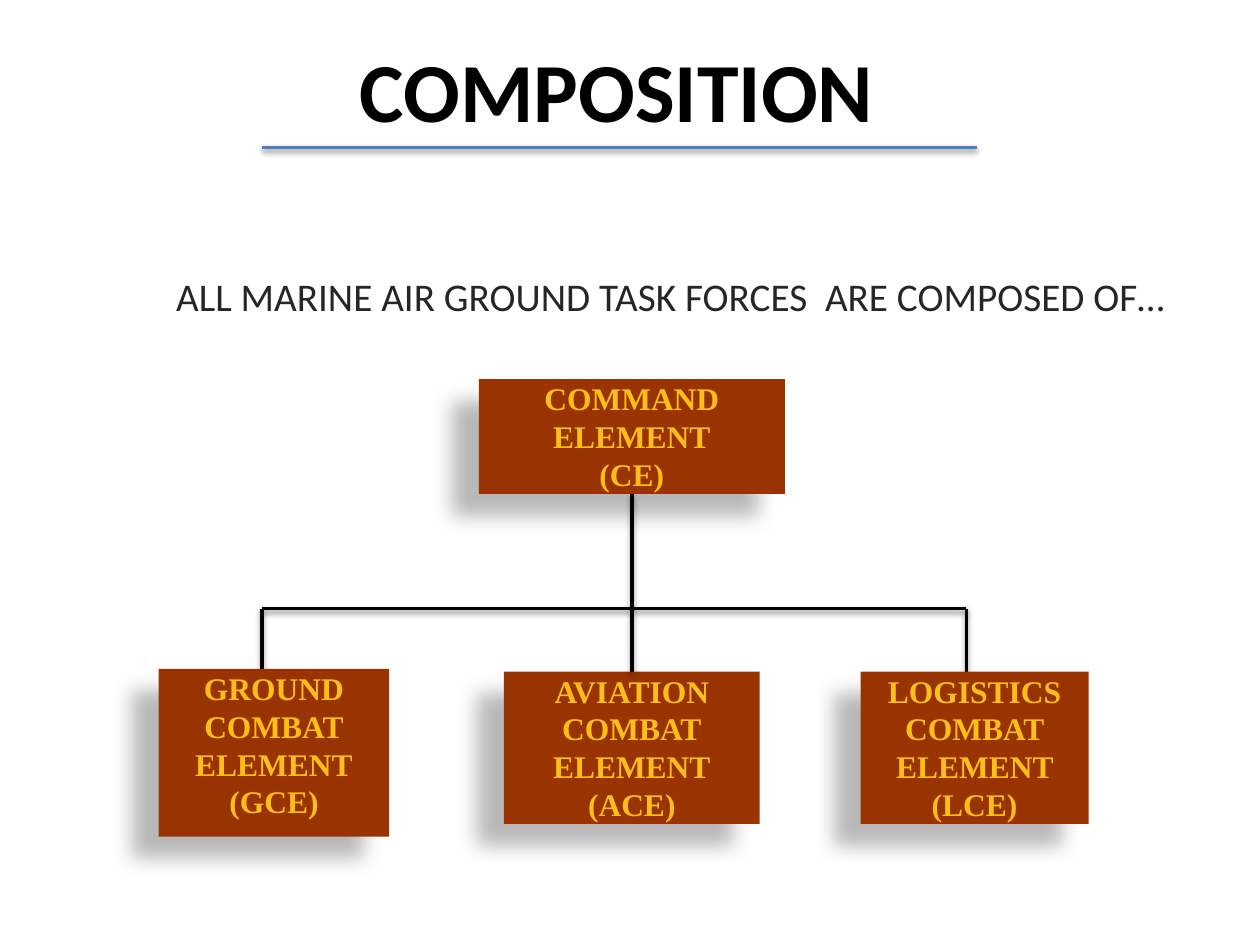
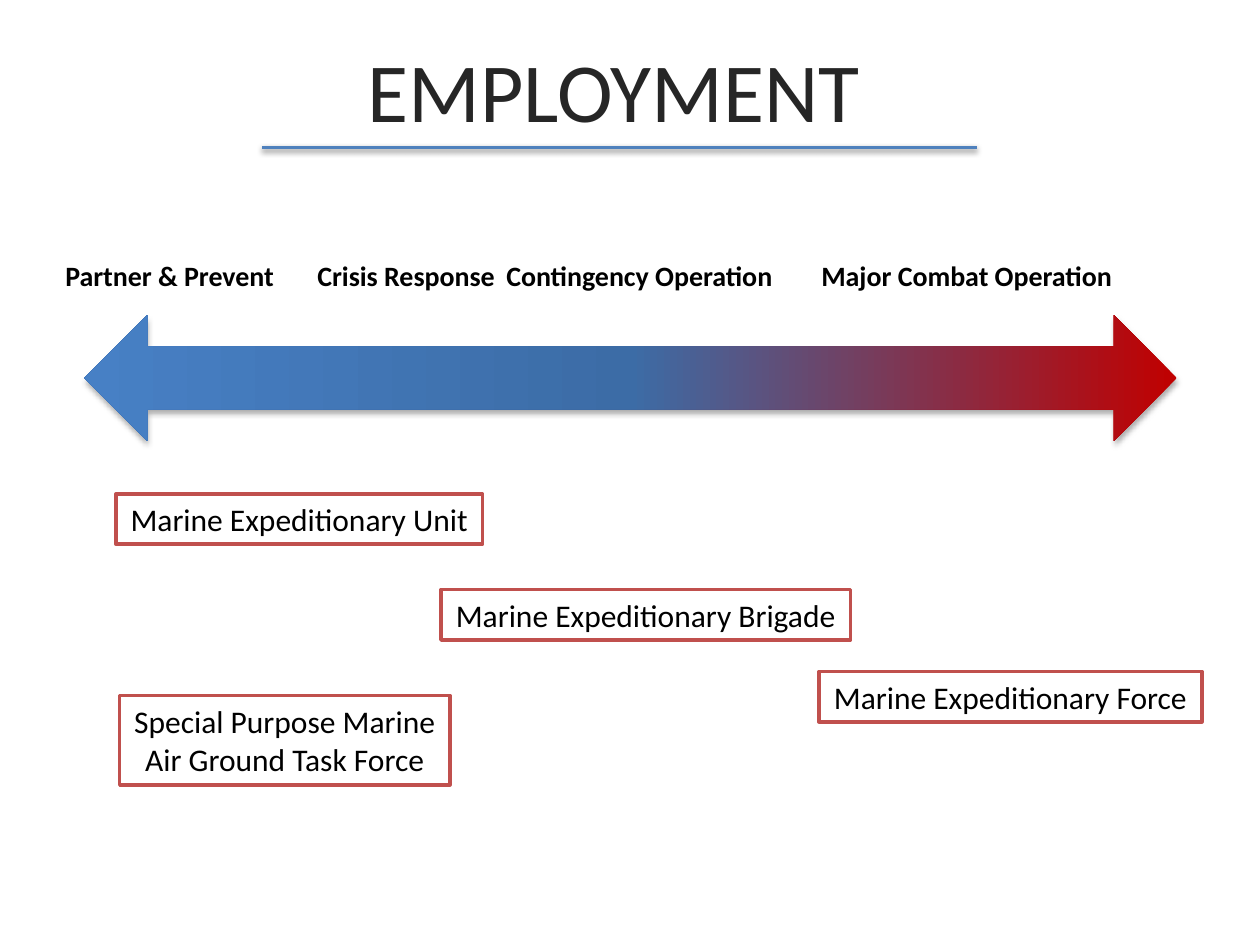
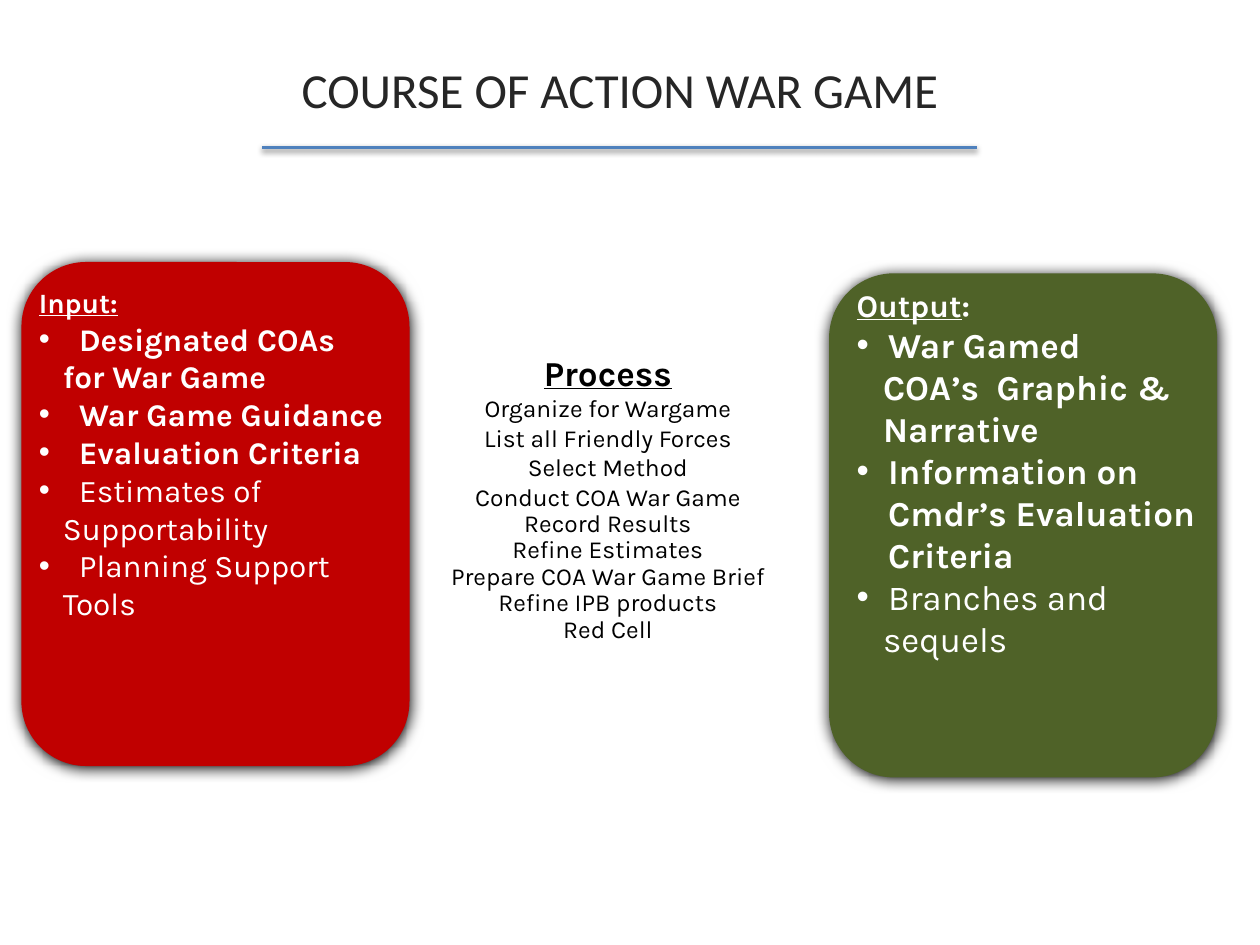
import pptx
import pptx.dml.color
import pptx.enum.shapes
import pptx.enum.text
import pptx.oxml.ns
from lxml import etree
from pptx.util import Inches, Pt

SHAPE = pptx.enum.shapes.MSO_SHAPE
ANCHOR = pptx.enum.text.MSO_ANCHOR
ALIGN = pptx.enum.text.PP_ALIGN
qn = pptx.oxml.ns.qn

BLACK, WHITE, INK = "000000", "FFFFFF", "262626"
BLUE, RED, OLIVE = "4F81BD", "C00000", "4F6228"
RUST, GOLD, BRICK = "993300", "FFBF18", "C0504D"

# Shadows: opacity %, blur pt, distance pt, direction in degrees
LINE_SHADOW = (38, 3.1, 1.6, 90)
ARROW_SHADOW = (32, 3.5, 2.2, 90)
ELEMENT_SHADOW = (28, 11.8, 19.7, 141)
PANEL_SHADOW = (100, 8.5, 1, 90)


def color(value):
    return pptx.dml.color.RGBColor.from_string(value)


def add_xml(parent, tag, **attributes):
    return etree.SubElement(parent, qn(tag), {key: str(value) for key, value in attributes.items()})


def set_shadow(item, shadow=None):
    """Write the effect list; call it after fill and line are set."""
    effects = add_xml(item._element.spPr, "a:effectLst")
    if shadow:
        opacity, blur, distance, angle = shadow
        outer = add_xml(effects, "a:outerShdw", blurRad=int(Pt(blur)), dist=int(Pt(distance)),
                        dir=angle * 60000, algn="ctr", rotWithShape=0)
        tint = add_xml(outer, "a:srgbClr", val=BLACK)
        add_xml(tint, "a:alpha", val=opacity * 1000)


def add_block(page, kind, box, fill, line=None, shadow=None):
    block = page.shapes.add_shape(kind, *map(Inches, box))
    block.fill.solid()
    block.fill.fore_color.rgb = color(fill)
    if line:
        block.line.color.rgb = color(line)
        block.line.width = Pt(2)
    else:
        block.line.fill.background()
    set_shadow(block, shadow)
    return block


def add_line(page, start, end, line=BLACK):
    connector = page.shapes.add_connector(pptx.enum.shapes.MSO_CONNECTOR.STRAIGHT,
                                          *map(Inches, start + end))
    connector.line.color.rgb = color(line)
    connector.line.width = Pt(2)
    set_shadow(connector, LINE_SHADOW)
    return connector


def add_span(para, text, font):
    span = para.add_run()
    span.text = text
    for name, value in font.items():
        if name == "color":
            span.font.color.rgb = color(value)
        else:
            setattr(span.font, name, Pt(value) if name == "size" else value)


def set_frame(item, anchor=ANCHOR.TOP, wrap=True, inset=None):
    frame = item.text_frame
    frame.word_wrap = wrap
    frame.vertical_anchor = anchor
    if inset is not None:
        for side in ("left", "top", "right", "bottom"):
            setattr(frame, "margin_" + side, Inches(inset))
    return frame


def add_para(frame, spans, align=ALIGN.LEFT, left=0, bullet=False, tabs=(), spacing=None):
    """Add a paragraph of (text, font) spans, using the empty first one if there is one."""
    para = frame.paragraphs[0]
    if para.runs:
        para = frame.add_paragraph()
    para.alignment = align
    if spacing:
        para.line_spacing = spacing
    properties = para._p.get_or_add_pPr()
    properties.set("marL", str(Inches(left)))
    properties.set("indent", str(-Inches(left) if bullet else 0))
    if bullet:
        add_xml(properties, "a:buFont", typeface="Arial")
        add_xml(properties, "a:buChar", char="•")
    else:
        add_xml(properties, "a:buNone")
    if tabs:
        stops = add_xml(properties, "a:tabLst")
        for position in tabs:
            add_xml(stops, "a:tab", pos=Inches(position), algn="l")
    for text, font in spans:
        add_span(para, text, font)


def add_text(page, box, **frame_format):
    return set_frame(page.shapes.add_textbox(*map(Inches, box)), **frame_format)


def add_title(page, text, left=0.42, width=9, **font):
    frame = add_text(page, (left, 0.08, width, 1.25), anchor=ANCHOR.MIDDLE)
    style = {"name": "Calibri", "size": 48, "color": INK, **font}
    add_para(frame, [(text, style)], ALIGN.CENTER)
    add_line(page, (2.08, 1.17), (7.75, 1.17), BLUE)


def add_element(page, box, lines):
    element = add_block(page, SHAPE.RECTANGLE, box, RUST, shadow=ELEMENT_SHADOW)
    frame = set_frame(element, inset=0)
    font = {"name": "Times New Roman", "size": 18, "color": GOLD, "bold": True}
    for line in lines:
        add_para(frame, [(line, font)], ALIGN.CENTER)
    return element


def composition_slide(page):
    add_title(page, "COMPOSITION", left=1.25, width=7.29, color=BLACK, bold=True)
    lead = add_text(page, (0.92, 2.11, 8.5, 0.64))
    add_para(lead, [("ALL MARINE AIR GROUND TASK FORCES  ARE COMPOSED OF…",
                     {"name": "Calibri", "size": 22.4, "color": INK})], left=0.38)

    bar_y, bar_left, bar_right = 4.83, 2.08, 7.67
    add_line(page, (bar_left, bar_y), (bar_right, bar_y))
    for x in (bar_left, bar_right):
        add_line(page, (x, bar_y), (x, 5.33))

    command = add_element(page, (3.8, 3.01, 2.43, 0.91), ["COMMAND", "ELEMENT", "(CE)"])
    add_element(page, (1.26, 5.31, 1.83, 1.33), ["GROUND", "COMBAT", "ELEMENT", "(GCE)"])
    aviation = add_element(page, (4, 5.33, 2.03, 1.21), ["AVIATION", "COMBAT", "ELEMENT", "(ACE)"])
    add_element(page, (6.83, 5.33, 1.81, 1.21), ["LOGISTICS COMBAT ELEMENT (LCE)"])
    trunk = add_line(page, (5.01, 3.92), (5.01, 5.33))
    trunk.begin_connect(command, 2)
    trunk.end_connect(aviation, 0)


def add_spectrum(page, box):
    """Draw the two-headed arrow, red at its right end and blue at its left."""
    arrow = page.shapes.add_shape(SHAPE.LEFT_RIGHT_ARROW, *map(Inches, box))
    arrow.fill.gradient()
    arrow.fill.gradient_angle = 180
    stops = arrow._element.spPr.find(".//" + qn("a:gsLst"))
    stops.clear()
    for percent, value in ((0, RED), (50, "3C6CA6"), (100, "4780C5")):
        add_xml(add_xml(stops, "a:gs", pos=percent * 1000), "a:srgbClr", val=value)
    arrow.line.fill.background()
    set_shadow(arrow, ARROW_SHADOW)


def employment_slide(page):
    add_title(page, "EMPLOYMENT", left=0.37)
    add_spectrum(page, (0.67, 2.5, 8.67, 1))

    stages = ["Partner & Prevent", "Crisis Response", "Contingency Operation",
              "Major Combat Operation"]
    labels = add_text(page, (0.42, 2, 9.37, 0.37))
    add_para(labels, [("\t".join(stages),
                       {"name": "Calibri", "size": 16, "color": BLACK, "bold": True})],
             tabs=(2.15, 4.26, 6.72))

    forces = [
        ((0.92, 3.92, 2.91, 0.4), ["Marine Expeditionary Unit"]),
        ((3.5, 4.68, 3.25, 0.4), ["Marine Expeditionary Brigade"]),
        ((6.5, 5.33, 3.04, 0.4), ["Marine Expeditionary Force"]),
        ((0.95, 5.52, 2.62, 0.71), ["Special Purpose Marine", "Air Ground Task Force"]),
    ]
    for box, lines in forces:
        force = add_block(page, SHAPE.RECTANGLE, box, WHITE, BRICK)
        frame = set_frame(force, wrap=False)
        for line in lines:
            add_para(frame, [(line, {"name": "Calibri", "size": 18, "color": BLACK})],
                     ALIGN.CENTER)


def add_panel(page, box, fill, text_box, heading, size, indents, items):
    """Draw a rounded panel; items are (text, is bold, has bullet)."""
    add_block(page, SHAPE.ROUNDED_RECTANGLE, box, fill, shadow=PANEL_SHADOW)
    frame = add_text(page, text_box)
    base = {"name": "Karla", "color": WHITE}
    add_para(frame, [(text, {**base, "bold": True, **font}) for text, font in heading])
    bullet_indent, plain_indent = indents
    for text, bold, bullet in items:
        add_para(frame, [(text, {**base, "size": size, "bold": bold})],
                 left=bullet_indent if bullet else plain_indent, bullet=bullet)


def add_process(page, box):
    frame = add_text(page, box)
    base = {"name": "Karla", "color": BLACK}
    add_para(frame, [("Process", {**base, "size": 20, "bold": True, "underline": True})],
             ALIGN.CENTER)
    loose = ["Organize for Wargame", "List all Friendly Forces", "Select Method",
             "Conduct COA War Game"]
    tight = ["Record Results", "Refine Estimates", "Prepare COA War Game Brief",
             "Refine IPB products", "Red Cell"]
    for steps, spacing in ((loose, None), (tight, 0.9)):
        for step in steps:
            add_para(frame, [(step, {**base, "size": 14})], ALIGN.CENTER, spacing=spacing)


def war_game_slide(page):
    add_title(page, "COURSE OF ACTION WAR GAME", size=28)
    add_panel(page, (6.58, 2.17, 3.08, 4), OLIVE, (6.7, 2.22, 3.28, 3.2),
              [("Output", {"size": 18, "underline": True}), (":", {"size": 18})],
              20, (0.25, 0.21), [
                  ("War Gamed", True, True),
                  ("COA’s  Graphic &", True, False),
                  ("Narrative", True, False),
                  ("Information on Cmdr’s Evaluation Criteria", True, True),
                  ("Branches and", False, True),
                  ("sequels", False, False)])
    add_panel(page, (0.17, 2.08, 3.08, 4), RED, (0.21, 2.22, 3.35, 2.81),
              [("Input:", {"size": 16, "underline": True})],
              18, (0.32, 0.19), [
                  ("Designated COAs", True, True),
                  ("for War Game", True, False),
                  ("War Game Guidance", True, True),
                  ("Evaluation Criteria", True, True),
                  ("Estimates of", False, True),
                  ("Supportability", False, False),
                  ("Planning Support", False, True),
                  ("Tools", False, False)])
    add_process(page, (2.9, 2.74, 3.85, 3.68))


def main():
    deck = pptx.Presentation()
    deck.slide_width, deck.slide_height = Inches(10), Inches(7.5)
    for build in (composition_slide, employment_slide, war_game_slide):
        build(deck.slides.add_slide(deck.slide_layouts[6]))
    deck.save("out.pptx")


if __name__ == "__main__":
    main()
